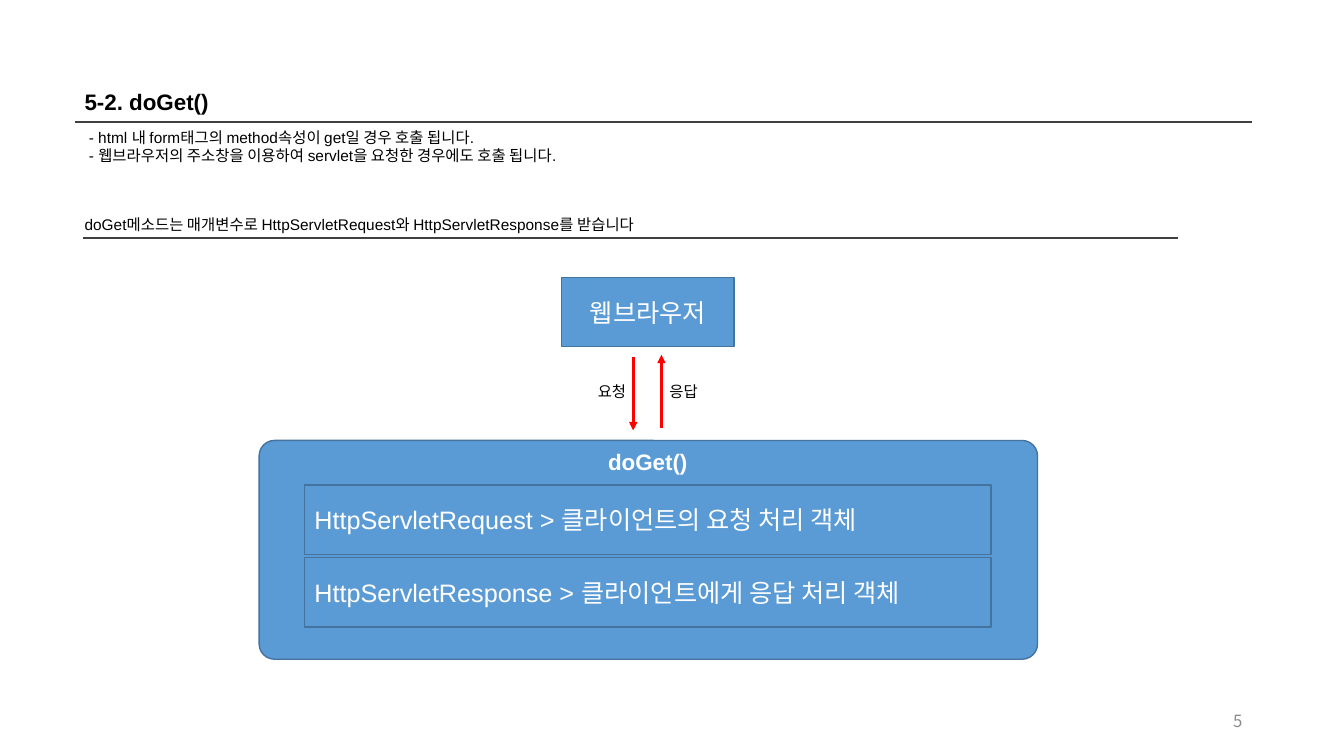
from lxml import etree
from pptx import Presentation
from pptx import util as u
from pptx.dml import color
from pptx.enum import shapes, text
from pptx.oxml import ns

BLUE, BLUE_EDGE, RED = "5B9BD5", "43739E", "FF0000"
BLACK, WHITE, RULE_GRAY, NUMBER_GRAY = "000000", "FFFFFF", "404040", "8C8C8C"
LEFT, CENTER, RIGHT = text.PP_ALIGN.LEFT, text.PP_ALIGN.CENTER, text.PP_ALIGN.RIGHT


def rgb(value):
    return color.RGBColor.from_string(value)


class SlideBuilder:
    """Holds the text style and the slide being filled."""

    def __init__(self, slide, font="Arial"):
        self.slide = slide
        self.font = font

    def set_text(self, shape, content, size, ink, align=LEFT, bold=False, font=None,
                 anchor=text.MSO_ANCHOR.TOP):
        frame = shape.text_frame
        frame.word_wrap = True
        frame.vertical_anchor = anchor
        frame.text = content
        for paragraph in frame.paragraphs:
            paragraph.alignment = align
            for run in paragraph.runs:
                run.font.name = font or self.font
                run.font.size = u.Pt(size)
                run.font.bold = bold
                run.font.color.rgb = rgb(ink)

    def label(self, left, top, width, height, content, size=11, ink=BLACK, **style):
        shape = self.slide.shapes.add_textbox(
            u.Inches(left), u.Inches(top), u.Inches(width), u.Inches(height))
        self.set_text(shape, content, size, ink, **style)

    def box(self, left, top, width, height, content="", align=LEFT, corner=None):
        kind = shapes.MSO_SHAPE.ROUNDED_RECTANGLE if corner else shapes.MSO_SHAPE.RECTANGLE
        shape = self.slide.shapes.add_shape(
            kind, u.Inches(left), u.Inches(top), u.Inches(width), u.Inches(height))
        if corner:
            shape.adjustments[0] = corner
        shape.shadow.inherit = False
        shape.fill.solid()
        shape.fill.fore_color.rgb = rgb(BLUE)
        shape.line.color.rgb = rgb(BLUE_EDGE)
        shape.line.width = u.Pt(1)
        if content:
            self.set_text(shape, content, 18, WHITE, align, anchor=text.MSO_ANCHOR.MIDDLE)

    def line(self, x1, y1, x2, y2, ink=RULE_GRAY, weight=1, arrow=False):
        connector = self.slide.shapes.add_connector(
            shapes.MSO_CONNECTOR.STRAIGHT,
            u.Inches(x1), u.Inches(y1), u.Inches(x2), u.Inches(y2))
        connector.line.color.rgb = rgb(ink)
        connector.line.width = u.Pt(weight)
        properties = connector.element.spPr
        if arrow:
            outline = properties.find(ns.qn("a:ln"))
            etree.SubElement(outline, ns.qn("a:tailEnd"), type="triangle")
        etree.SubElement(properties, ns.qn("a:effectLst"))


def main():
    presentation = Presentation()
    presentation.slide_width = u.Inches(13.33)
    presentation.slide_height = u.Inches(7.5)
    builder = SlideBuilder(presentation.slides.add_slide(presentation.slide_layouts[6]))

    # Heading and explanation
    margin, text_width = 0.74, 11.68
    builder.label(margin, 0.83, text_width, 0.37, "5-2. doGet()", 16, bold=True)
    builder.line(margin, 1.21, margin + text_width, 1.21)
    builder.label(margin, 1.22, text_width, 0.47,
                  " - html 내 form태그의 method속성이 get일 경우 호출 됩니다.\n"
                  " - 웹브라우저의 주소창을 이용하여 servlet을 요청한 경우에도 호출 됩니다.")
    builder.label(margin, 2.08, text_width, 0.29,
                  "doGet메소드는 매개변수로 HttpServletRequest와 HttpServletResponse를 받습니다")
    builder.line(0.82, 2.36, 11.68, 2.36)

    # Browser
    browser_left, browser_width, row_height = 5.57, 1.71, 0.69
    builder.box(browser_left, 2.75, browser_width, row_height, "웹브라우저", CENTER)

    # Request and response arrows
    for label_left, caption, x, start, end in (
            (5.78, "요청", 6.28, 3.54, 4.27),
            (6.49, "응답", 6.56, 4.25, 3.52)):
        builder.label(label_left, 3.74, 0.58, 0.29, caption, align=CENTER)
        builder.line(x, start, x, end, RED, 2, arrow=True)

    # doGet() container with its two parameters
    builder.box(2.57, 4.37, 7.72, 2.17, corner=0.07)
    builder.label(browser_left, 4.4, browser_width, 0.37, "doGet()", 16, WHITE,
                  align=CENTER, bold=True)
    parameters = ("HttpServletRequest > 클라이언트의 요청 처리 객체",
                  "HttpServletResponse > 클라이언트에게 응답 처리 객체")
    for row, parameter in enumerate(parameters):
        builder.box(3.02, 4.81 + row * 0.72, 6.81, row_height, parameter)

    # Slide number
    builder.label(9.42, 6.95, 3, 0.4, "5", 12, NUMBER_GRAY, align=RIGHT,
                  font="Noto Sans CJK KR", anchor=text.MSO_ANCHOR.MIDDLE)

    presentation.save("out.pptx")


if __name__ == "__main__":
    main()
